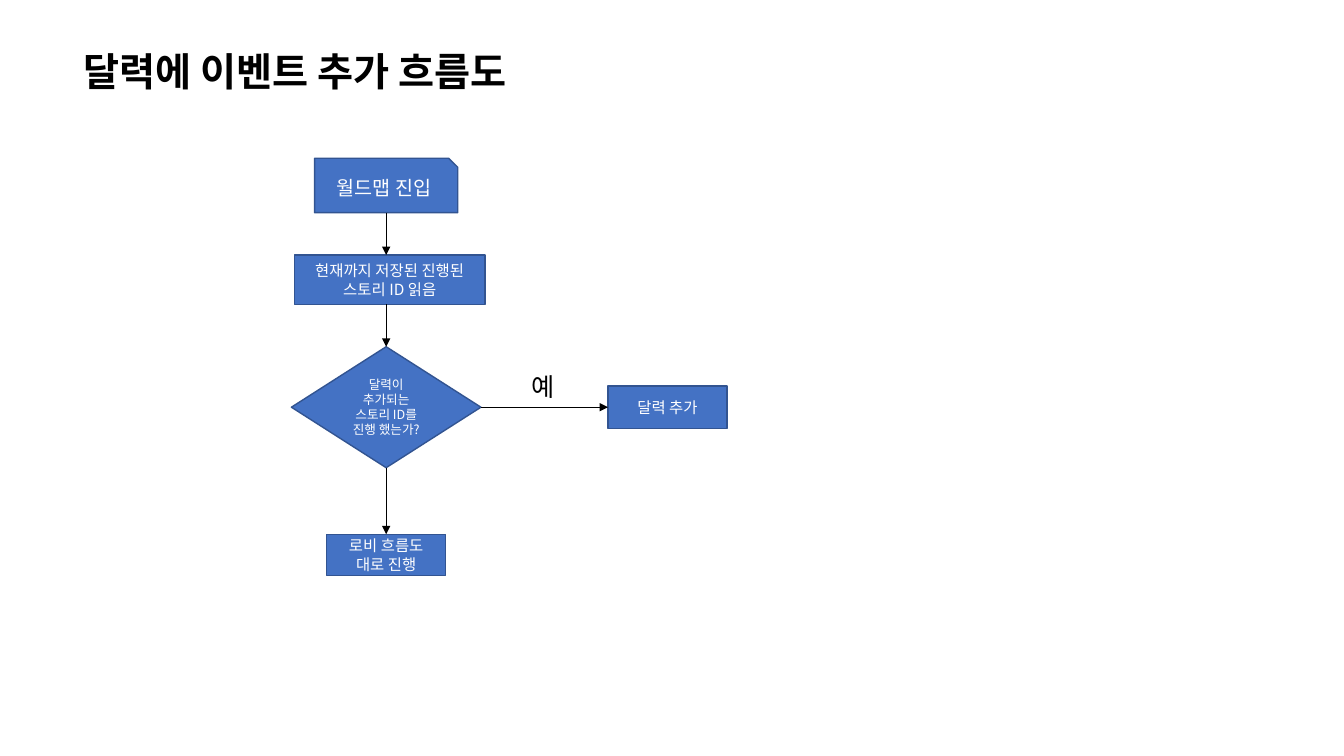
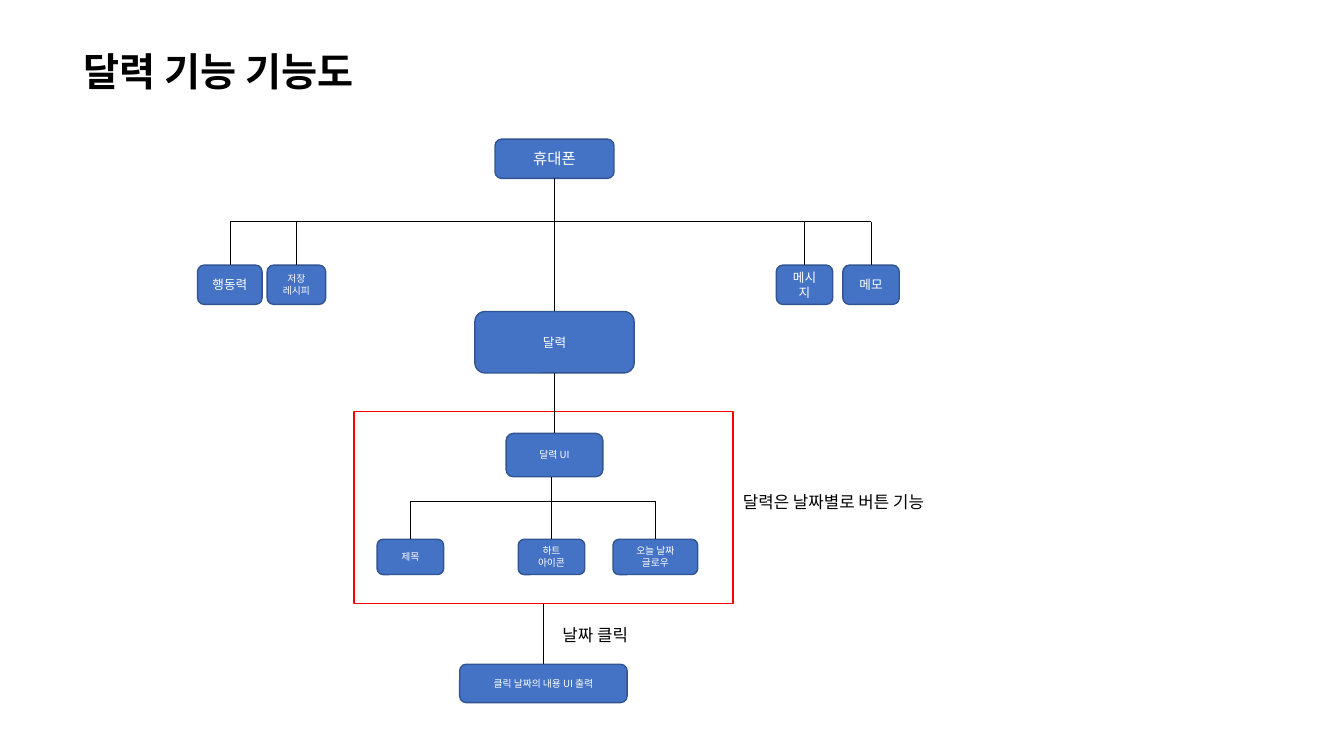
from lxml import etree
from pptx import Presentation
from pptx.dml.color import RGBColor
from pptx.enum.shapes import MSO_CONNECTOR, MSO_SHAPE
from pptx.enum.text import MSO_ANCHOR, MSO_AUTO_SIZE, PP_ALIGN
from pptx.oxml.ns import qn
from pptx.util import Inches, Pt

RECT = MSO_SHAPE.RECTANGLE
ROUND = MSO_SHAPE.ROUNDED_RECTANGLE
SNIP = MSO_SHAPE.SNIP_1_RECTANGLE
CHOICE = MSO_SHAPE.FLOWCHART_DECISION
STRAIGHT = MSO_CONNECTOR.STRAIGHT
MIDDLE = MSO_ANCHOR.MIDDLE
CENTER = PP_ALIGN.CENTER
FIT = MSO_AUTO_SIZE.SHAPE_TO_FIT_TEXT
TOP, LEFT, BOTTOM, RIGHT = range(4)


def color(code):
    return RGBColor.from_string(code)


class Deck:
    """Holds the shared style and the slide being drawn."""

    blue, edge, black, white, red = "4472C4", "325491", "000000", "FFFFFF", "FF0000"
    body, head = "Noto Sans CJK KR", "Calibri"

    def __init__(self):
        self.file = Presentation()
        self.file.slide_width = Inches(13.33)
        self.file.slide_height = Inches(7.5)
        self.slide = None

    def page(self, title):
        self.slide = self.file.slides.add_slide(self.file.slide_layouts[6])
        self.label(title, 0.73, 0.42, 4.88, 0.57, 28, font=self.head, bold=True)

    def style(self, frame, text, size, code, font, bold=False, align=None):
        frame.text = text
        for para in frame.paragraphs:
            para.alignment = align
            para.font.size = Pt(size)
            para.font.name = font
            para.font.bold = bold
            para.font.color.rgb = color(code)

    def label(self, text, x, y, w, h, size, font=body, bold=False, wrap=True):
        box = self.slide.shapes.add_textbox(Inches(x), Inches(y), Inches(w), Inches(h))
        box.text_frame.word_wrap = wrap
        box.text_frame.auto_size = FIT
        self.style(box.text_frame, text, size, self.black, font, bold)

    def shape(self, kind, x, y, w, h, line):
        item = self.slide.shapes.add_shape(kind, Inches(x), Inches(y), Inches(w), Inches(h))
        item.shadow.inherit = False
        item.line.color.rgb = color(line)
        item.line.width = Pt(1)
        return item

    def node(self, text, x, y, w, h, size, kind=ROUND):
        item = self.shape(kind, x, y, w, h, self.edge)
        item.fill.solid()
        item.fill.fore_color.rgb = color(self.blue)
        frame = item.text_frame
        frame.word_wrap = True
        frame.vertical_anchor = MIDDLE
        self.style(frame, text, size, self.white, self.body, align=CENTER)
        return item

    def frame(self, x, y, w, h):
        item = self.shape(RECT, x, y, w, h, self.red)
        item.fill.background()
        return item

    def line(self, start, end, arrow=False):
        link = self.slide.shapes.add_connector(STRAIGHT, 0, 0, 0, 0)
        if hasattr(start[0], "shape_id"):
            link.begin_connect(*start)
        else:
            link.begin_x, link.begin_y = map(Inches, start)
        if hasattr(end[0], "shape_id"):
            link.end_connect(*end)
        else:
            link.end_x, link.end_y = map(Inches, end)
        link.line.color.rgb = color(self.black)
        link.line.width = Pt(0.5)
        props = link.element.spPr
        if arrow:
            etree.SubElement(props.find(qn("a:ln")), qn("a:tailEnd"), type="triangle")
        etree.SubElement(props, qn("a:effectLst"))

    def fork(self, y, nodes):
        mids = [(item.left + item.width / 2) / Inches(1) for item in nodes]
        self.line((min(mids), y), (max(mids), y))
        for mid, item in zip(mids, nodes):
            self.line((mid, y), (item, TOP))


def flow(deck):
    deck.page("달력에 이벤트 추가 흐름도")
    axis = 3.83
    enter = deck.node("월드맵 진입", 3.12, 1.57, 1.42, 0.54, 14, SNIP)
    deck.node("현재까지 저장된 진행된 스토리 ID 읽음", 2.92, 2.53, 1.89, 0.49, 11, RECT)
    check = deck.node("달력이 추가되는 스토리 ID를 진행 했는가?", 2.89, 3.44, 1.88, 1.2, 9, CHOICE)
    add = deck.node("달력 추가", 6.03, 3.83, 1.18, 0.42, 11, RECT)
    lobby = deck.node("로비 흐름도 대로 진행", 3.24, 5.3, 1.18, 0.41, 11, RECT)
    deck.line((enter, BOTTOM), (axis, 2.53), True)
    deck.line((axis, 3.02), (check, TOP), True)
    deck.line((check, RIGHT), (add, LEFT), True)
    deck.line((check, BOTTOM), (lobby, TOP), True)
    deck.label("예", 5.17, 3.63, 0.45, 0.4, 18, wrap=False)


def tree(deck):
    deck.page("달력 기능 기능도")
    phone = deck.node("휴대폰", 4.91, 1.38, 1.18, 0.39, 11)
    apps = [
        deck.node(text, x, 2.63, w, 0.39, size)
        for text, x, w, size in (
            ("행동력", 1.96, 0.64, 9),
            ("저장\n레시피", 2.65, 0.58, 7),
            ("메시지", 7.7, 0.56, 9),
            ("메모", 8.36, 0.56, 9),
        )
    ]
    month = deck.node("달력", 4.71, 3.09, 1.58, 0.61, 9)
    view = deck.node("달력 UI", 5.02, 4.3, 0.96, 0.43, 7)
    parts = [
        deck.node(text, x, 5.35, w, 0.35, 7)
        for text, x, w in (
            ("제목", 3.74, 0.66),
            ("하트\n아이콘", 5.14, 0.66),
            ("오늘 날짜\n글로우", 6.08, 0.84),
        )
    ]
    panel = deck.frame(3.51, 4.08, 3.76, 1.91)
    result = deck.node("클릭 날짜의 내용 UI 출력", 4.56, 6.59, 1.66, 0.38, 7)
    deck.fork(2.2, apps)
    deck.fork(4.97, parts)
    deck.line((5.47, 4.73), (5.47, 4.97))
    for upper, lower in ((phone, month), (month, view), (panel, result)):
        deck.line((upper, BOTTOM), (lower, TOP))
    deck.label("날짜 클릭", 5.48, 6.15, 1.05, 0.3, 12)
    deck.label("달력은 날짜별로 버튼 기능", 7.27, 4.83, 2.34, 0.3, 12)


def main():
    deck = Deck()
    flow(deck)
    tree(deck)
    deck.file.save("out.pptx")


if __name__ == "__main__":
    main()
